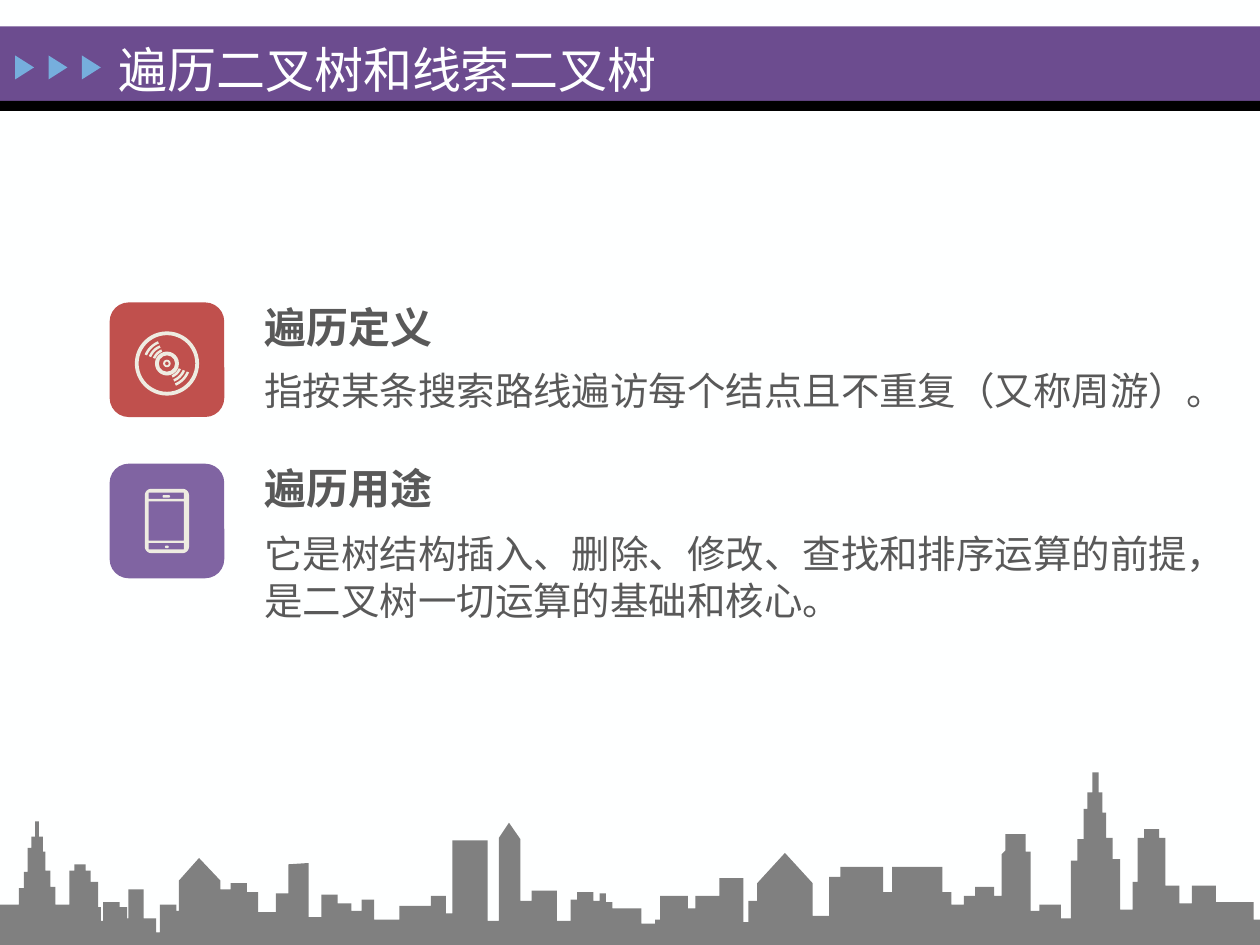
from dataclasses import dataclass
from math import cos, sin, radians
from lxml.etree import SubElement
from pptx import Presentation
from pptx.dml.color import RGBColor
from pptx.enum.shapes import MSO_SHAPE
from pptx.enum.text import MSO_ANCHOR, MSO_AUTO_SIZE, PP_ALIGN
from pptx.oxml.ns import qn
from pptx.util import Inches, Pt


@dataclass(frozen=True)
class Theme:
    paper: str = "FEFFFF"
    band: str = "6C4C8F"
    rule: str = "000000"
    arrow: str = "76AEDD"
    red: str = "C0504D"
    violet: str = "8064A2"
    cream: str = "EEECE1"
    ink: str = "595959"
    city: str = "808080"
    serif: str = "Times New Roman"
    sans: str = "Noto Sans CJK SC"
    title: int = 28
    head: int = 24
    body: int = 22


SKY = [
    (0, 7.18), (.15, 7.05), (.19, 6.92), (.22, 6.73), (.25, 6.64), (.28, 6.52),
    (.31, 6.64), (.34, 6.76), (.36, 6.91), (.4, 7.04), (.44, 7.18), (.55, 6.91),
    (.59, 6.86), (.68, 6.91), (.72, 7), (.78, 7.2), (.8, 7.31), (.82, 7.16),
    (.95, 7.2), (1.01, 7.29), (1.02, 7.06), (1.14, 7.29), (1.24, 7.4),
    (1.27, 7.18), (1.4, 7.23), (1.42, 6.99), (1.58, 6.81, "roof"),
    (1.75, 6.99, "roof"), (1.75, 7.06), (1.83, 7.01), (1.96, 7.08), (2.05, 7.24),
    (2.19, 7.09), (2.29, 6.86), (2.45, 6.85, "roof"), (2.45, 7.28), (2.55, 7.1),
    (2.68, 7.17), (2.79, 7.23), (2.87, 7.14), (2.97, 7.3), (3.17, 7.19),
    (3.42, 7.11), (3.54, 7.25), (3.59, 6.67), (3.87, 7.31), (3.96, 6.65),
    (4.04, 6.53, "roof"), (4.13, 6.66, "roof"), (4.13, 7.15), (4.22, 7.07),
    (4.42, 7.31), (4.53, 7.14), (4.58, 7.08), (4.71, 7.15), (4.76, 7.09),
    (4.81, 7.16), (4.86, 7.21), (5.09, 7.33), (5.2, 7.3), (5.24, 7.11),
    (5.46, 7.21), (5.52, 7.11), (5.71, 6.97), (5.9, 7.32), (5.94, 7.15),
    (6.01, 7.01), (6.23, 6.77, "roof"), (6.45, 7.01, "roof"), (6.45, 7.27),
    (6.58, 6.96), (6.67, 6.88), (7.01, 7.08), (7.08, 6.88), (7.48, 7.08),
    (7.55, 7.18), (7.65, 7.11), (7.74, 7.04), (7.89, 7.11), (7.95, 6.78),
    (7.98, 6.75, "roof"), (7.98, 6.62), (8.14, 6.76), (8.18, 7.23), (8.25, 7.18),
    (8.42, 7.29), (8.5, 6.83), (8.55, 6.66), (8.6, 6.42), (8.63, 6.29),
    (8.67, 6.13), (8.72, 6.29), (8.75, 6.45), (8.78, 6.65), (8.83, 6.82),
    (8.89, 7.22), (8.99, 7), (9.03, 6.65), (9.08, 6.58), (9.2, 6.65),
    (9.25, 7.03), (9.36, 7.17), (9.46, 7.03), (9.65, 7.16), (9.95, 7.3), (10, 7.5),
]


def sweep(x, y, size, start, end):
    steps = 8
    turns = [radians(start + (end - start) * i / steps) for i in range(steps + 1)]
    return [(x + size * cos(t), y + size * sin(t)) for t in turns]


def box(x, y, wide, high):
    return [(x, y), (x, y + high), (x + wide, y + high), (x + wide, y)]


def pill(x, y, wide, high, size):
    right, low = x + wide - size, y + high - size
    spots = [(right, low), (x + size, low), (x + size, y + size), (right, y + size)]
    return [dot for i, (a, b) in enumerate(spots)
            for dot in sweep(a, b, size, 90 * i, 90 * i + 90)]


class Deck:
    def __init__(self, theme):
        self.theme = theme
        self.file = Presentation()
        self.file.slide_width, self.file.slide_height = Inches(10), Inches(7.5)
        self.slide = self.file.slides.add_slide(self.file.slide_layouts[5])
        self.pen = self.slide.shapes
        self.tint(self.slide.background, theme.paper)

    def tint(self, item, color):
        item.fill.solid()
        item.fill.fore_color.rgb = RGBColor.from_string(color)

    def group(self):
        self.pen = self.slide.shapes.add_group_shape().shapes

    def leave(self):
        self.pen = self.slide.shapes

    def plain(self, item, color):
        self.tint(item, color)
        item.line.fill.background()
        item.shadow.inherit = False
        return item

    def shape(self, kind, color, *place):
        return self.plain(self.pen.add_shape(kind, *map(Inches, place)), color)

    def trace(self, color, *loops):
        first, *rest = [[(Inches(x), Inches(y)) for x, y in loop] for loop in loops]
        draft = self.pen.build_freeform(*first[0])
        draft.add_line_segments(first[1:])
        for loop in rest:
            draft.move_to(*loop[0])
            draft.add_line_segments(loop[1:])
        return self.plain(draft.convert_to_shape(), color)

    def style(self, para, size, face, color, bold=False):
        font = para.font
        font.size, font.bold, font.name = Pt(size), bold, face
        font.color.rgb = RGBColor.from_string(color)
        base = para._p.pPr.find(qn("a:defRPr"))
        SubElement(base, qn("a:ea")).set("typeface", self.theme.sans)

    def title(self, words, *place):
        item = self.slide.shapes.title
        item.left, item.top, item.width, item.height = map(Inches, place)
        frame = item.text_frame
        frame.text = words
        frame.auto_size = MSO_AUTO_SIZE.NONE
        frame.vertical_anchor = MSO_ANCHOR.MIDDLE
        para = frame.paragraphs[0]
        para.alignment = PP_ALIGN.LEFT
        self.style(para, self.theme.title, self.theme.serif, self.theme.paper)
        item.element.getparent().append(item.element)

    def text(self, words, size, place, bold=False, wrap=True):
        frame = self.pen.add_textbox(*map(Inches, place)).text_frame
        frame.text = words
        frame.word_wrap = wrap
        frame.auto_size = MSO_AUTO_SIZE.SHAPE_TO_FIT_TEXT
        frame.margin_left = frame.margin_right = Inches(.13)
        frame.margin_top = frame.margin_bottom = Inches(.07)
        self.style(frame.paragraphs[0], size, self.theme.sans, self.theme.ink, bold)

    def tile(self, color, top):
        self.group()
        self.shape(MSO_SHAPE.ROUNDED_RECTANGLE, color, .87, top, .91, .91)

    def disc(self, x, y):
        cream = self.theme.cream
        for size, thick in ((.255, .03), (.095, .03), (.03, .015)):
            ring = self.shape(MSO_SHAPE.DONUT, cream,
                              x - size, y - size, 2 * size, 2 * size)
            ring.adjustments[0] = thick / (2 * size)
        for start in (22, 202):
            for size in (.11, .145, .18):
                outer = sweep(x, y, size + .01, start, start + 46)
                inner = sweep(x, y, size - .01, start + 46, start)
                self.trace(cream, outer + inner)
        self.leave()

    def phone(self, x, y):
        cream = self.theme.cream
        holes = [box(x + .03, y + drop, .28, high)
                 for drop, high in ((.03, .05), (.1, .31), (.43, .05))]
        self.trace(cream, pill(x, y, .35, .51, .05), *holes)
        self.trace(cream, pill(x + .14, y + .05, .06, .02, .01))
        self.trace(cream, pill(x + .16, y + .45, .03, .02, .01))
        self.leave()

    def city(self):
        dots, last = [(0, 7.5)], 7.5
        for x, y, *roof in SKY:
            if not roof:
                dots.append((x, last))
            dots.append((x, y))
            last = y
        self.trace(self.theme.city, dots)


def main():
    look = Theme()
    deck = Deck(look)
    deck.shape(MSO_SHAPE.RECTANGLE, look.band, 0, .21, 10, .59)
    deck.shape(MSO_SHAPE.RECTANGLE, look.rule, 0, .8, 10, .08)
    deck.group()
    for i in range(3):
        arrow = deck.shape(MSO_SHAPE.ISOSCELES_TRIANGLE, look.arrow,
                           .1 + .265 * i, .46, .19, .15)
        arrow.rotation = 90
    deck.leave()
    deck.title("遍历二叉树和线索二叉树", .84, .17, 7.6, .75)
    deck.tile(look.red, 2.4)
    deck.disc(1.325, 2.885)
    deck.tile(look.violet, 3.68)
    deck.phone(1.15, 3.88)
    notes = [
        ("遍历定义", 2.32, "指按某条搜索路线遍访每个结点且不重复（又称周游）。", 2.84, .51),
        ("遍历用途", 3.6, "它是树结构插入、删除、修改、查找和排序运算的前提，"
         "是二叉树一切运算的基础和核心。", 4.14, .88),
    ]
    for head, top, body, low, high in notes:
        deck.text(head, look.head, (1.97, top, 1.61, .54), bold=True, wrap=False)
        deck.text(body, look.body, (1.97, low, 7.76, high))
    deck.city()
    deck.file.save("out.pptx")


if __name__ == "__main__":
    main()
